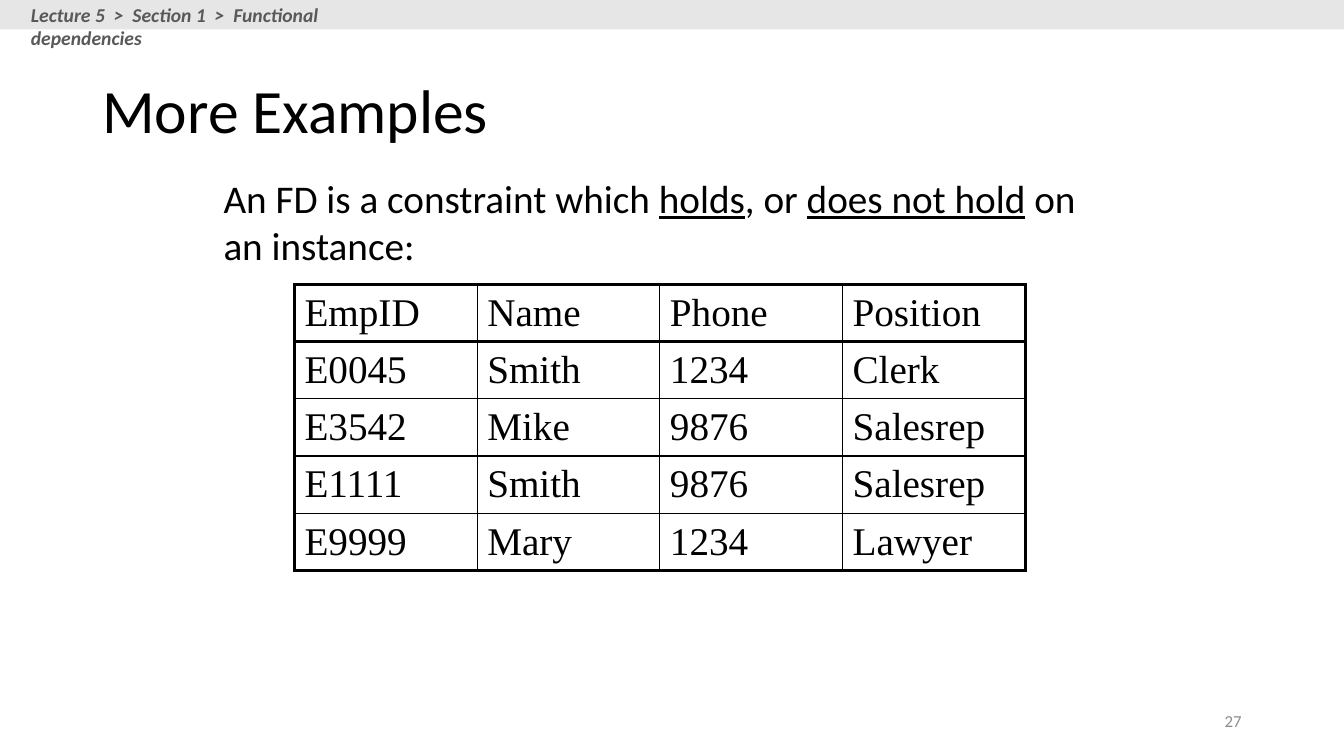
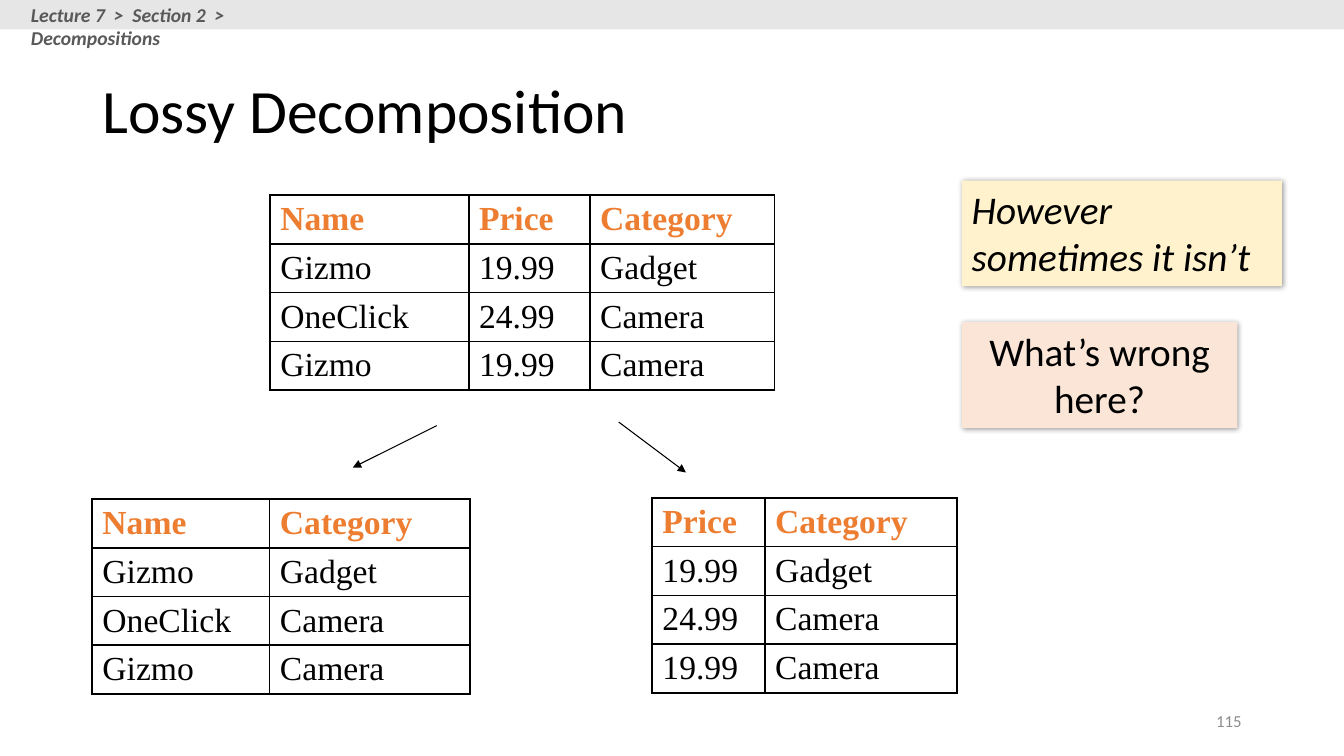
from dataclasses import dataclass

from lxml import etree
from pptx import Presentation
from pptx.dml.color import RGBColor
from pptx.enum import shapes, text
from pptx.oxml import ns
from pptx.util import Pt


@dataclass(frozen=True)
class Theme:
    ink: str = "000000"
    band: str = "E7E6E6"
    crumb: str = "595959"
    number: str = "8C8C8C"
    header: str = "ED7D31"
    yellow: str = "FFF2CC"
    peach: str = "FBE5D6"
    sans: str = "Calibri"
    serif: str = "Times New Roman"
    title_size: float = 44
    body_size: float = 28
    table_size: float = 24
    crumb_size: float = 14
    number_size: float = 12
    inner_rule: float = 1


THEME = Theme()
WIDTH, HEIGHT = 960, 540
MIDDLE = text.MSO_ANCHOR.MIDDLE
CENTER, RIGHT = text.PP_ALIGN.CENTER, text.PP_ALIGN.RIGHT


def points(*lengths):
    return [Pt(length) for length in lengths]


def add_xml(parent, tag, **attributes):
    return etree.SubElement(parent, ns.qn(tag), attributes)


def write(frame, content, size=THEME.body_size, color=THEME.ink, font=THEME.sans,
          bold=False, italic=False, align=None, anchor=text.MSO_ANCHOR.TOP, spacing=None):
    """Fill a frame with one paragraph; content is a string or (string, underlined) pairs."""
    frame.word_wrap = True
    frame.vertical_anchor = anchor
    paragraph = frame.paragraphs[0]
    paragraph.alignment = align
    paragraph.line_spacing = spacing
    for words, underlined in [(content, False)] if isinstance(content, str) else content:
        run = paragraph.add_run()
        run.text = words
        run.font.name, run.font.size = font, Pt(size)
        run.font.bold, run.font.italic = bold, italic
        run.font.underline = underlined
        run.font.color.rgb = RGBColor.from_string(color)


def add_text(slide, box, content, **style):
    write(slide.shapes.add_textbox(*points(*box)).text_frame, content, **style)


def add_panel(slide, box, fill):
    panel = slide.shapes.add_shape(shapes.MSO_SHAPE.RECTANGLE, *points(*box))
    panel.shadow.inherit = False
    panel.fill.solid()
    panel.fill.fore_color.rgb = RGBColor.from_string(fill)
    panel.line.fill.background()
    return panel


def add_note(slide, box, content, fill, **style):
    """Coloured panel with a soft shadow and a short remark."""
    note = add_panel(slide, box, fill)
    effects = note.element.spPr.find(ns.qn("a:effectLst"))
    shadow = add_xml(effects, "a:outerShdw", blurRad=str(Pt(4)), dist=str(Pt(1)),
                     dir="2700000", algn="tl", rotWithShape="0")
    add_xml(add_xml(shadow, "a:srgbClr", val=THEME.ink), "a:alpha", val="40000")
    write(note.text_frame, content, **style)


def add_arrow(slide, start, end):
    arrow = slide.shapes.add_connector(shapes.MSO_CONNECTOR.STRAIGHT, *points(*start, *end))
    arrow.line.width = Pt(0.75)
    arrow.line.color.rgb = RGBColor.from_string(THEME.ink)
    add_xml(arrow.line._get_or_add_ln(), "a:tailEnd", type="triangle")
    add_xml(arrow.element.spPr, "a:effectLst")


def set_borders(cell, **widths):
    for side in "LRTB":
        line = add_xml(cell._tc.get_or_add_tcPr(), f"a:ln{side}", w=str(Pt(widths[side])))
        add_xml(add_xml(line, "a:solidFill"), "a:srgbClr", val=THEME.ink)


def add_relation(slide, origin, columns, row_height, rows, frame_rule, padding=3.6,
                 header_style=None, **style):
    """Table with a heavier frame and header rule; the first of rows is the header."""
    grid = slide.shapes.add_table(len(rows), len(columns), *points(
        *origin, sum(columns), row_height * len(rows))).table
    grid.first_row = grid.horz_banding = False
    for column, width in zip(grid.columns, columns):
        column.width = Pt(width)
    last_row, last_column = len(rows) - 1, len(columns) - 1
    for r, values in enumerate(rows):
        grid.rows[r].height = Pt(row_height)
        for c, value in enumerate(values):
            cell = grid.cell(r, c)
            heavy = {"L": c == 0, "R": c == last_column, "T": r <= 1, "B": r in (0, last_row)}
            set_borders(cell, **{side: frame_rule if on else THEME.inner_rule
                                 for side, on in heavy.items()})
            cell.fill.background()
            cell.margin_top = cell.margin_bottom = Pt(padding)
            cell.vertical_anchor = MIDDLE
            extra = header_style if r == 0 and header_style else {}
            write(cell.text_frame, value, font=THEME.serif, anchor=MIDDLE, **{**style, **extra})


def add_base(deck, title, number, crumb, crumb_width):
    """New slide with the title, number and breadcrumb band that all slides share."""
    slide = deck.slides.add_slide(deck.slide_layouts[6])
    add_text(slide, (678, 500.4, 216, 28.8), number, size=THEME.number_size,
             color=THEME.number, align=RIGHT, anchor=MIDDLE)
    add_text(slide, (66, 28.8, 828, 104.4), title, size=THEME.title_size,
             anchor=MIDDLE, spacing=0.9)
    add_panel(slide, (0, 0, WIDTH, 21), THEME.band)
    add_text(slide, (15, -1.5, crumb_width, 24.5), crumb, size=THEME.crumb_size,
             color=THEME.crumb, bold=True, italic=True)
    return slide


def build_examples(deck):
    slide = add_base(deck, "More Examples", "27",
                     "Lecture 5  >  Section 1  >  Functional dependencies", 290)
    add_text(slide, (152.6, 121, 637, 75.6), [
        ("An FD is a constraint which ", False), ("holds", True), (", or ", False),
        ("does not hold", True), (" on an instance:", False)])
    add_relation(slide, (210.4, 203.2), [130.5] * 4, 40.8, [
        ("EmpID", "Name", "Phone", "Position"),
        ("E0045", "Smith", "1234", "Clerk"),
        ("E3542", "Mike", "9876", "Salesrep"),
        ("E1111", "Smith", "9876", "Salesrep"),
        ("E9999", "Mary", "1234", "Lawyer"),
    ], frame_rule=2.25)


def build_decomposition(deck):
    slide = add_base(deck, "Lossy Decomposition", "115",
                     "Lecture 7  >  Section 2  >  Decompositions", 240)
    products = [("Name", "Price", "Category"),
                ("Gizmo", "19.99", "Gadget"),
                ("OneClick", "24.99", "Camera"),
                ("Gizmo", "19.99", "Camera")]
    projections = [
        ((193, 139.4), (142, 86.5, 131.8), (0, 1, 2)),
        ((66, 356.4), (126.8, 143.2), (0, 2)),
        ((466, 355.6), (80.5, 137), (1, 2)),
    ]
    for origin, columns, kept in projections:
        rows = [[product[field] for field in kept] for product in products]
        add_relation(slide, origin, columns, 33.75, rows, frame_rule=1.5, padding=3,
                     header_style={"color": THEME.header, "bold": True},
                     size=THEME.table_size)
    add_arrow(slide, (312, 304), (252, 334))
    add_arrow(slide, (442, 301.5), (490, 337.5))
    add_note(slide, (687, 230.2, 196.8, 75.4), "What’s wrong here?", THEME.peach, align=CENTER)
    add_note(slide, (687, 129, 228.6, 75.4), "However sometimes it isn’t", THEME.yellow,
             italic=True, align=text.PP_ALIGN.LEFT)


def main():
    deck = Presentation()
    deck.slide_width, deck.slide_height = points(WIDTH, HEIGHT)
    build_examples(deck)
    build_decomposition(deck)
    deck.save("out.pptx")


if __name__ == "__main__":
    main()
